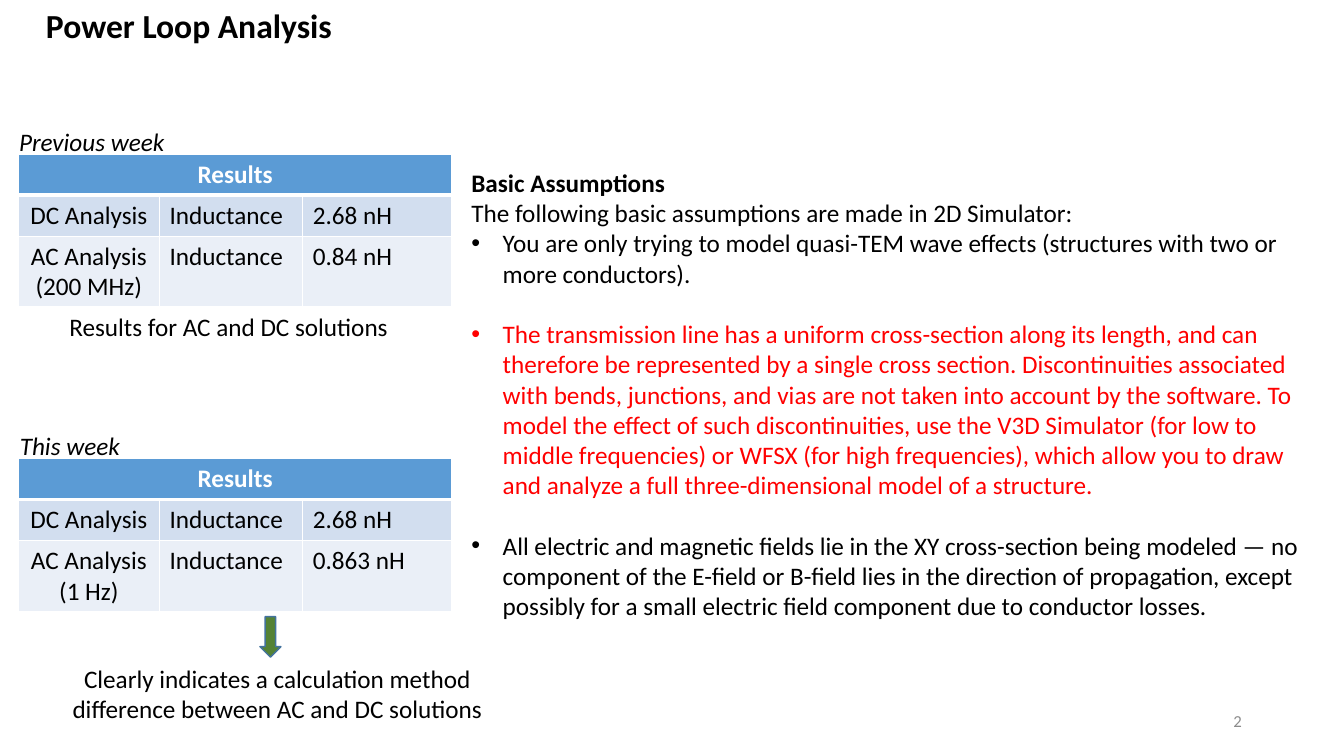
from lxml.etree import SubElement
from pptx import Presentation
from pptx.dml.color import RGBColor
from pptx.enum.shapes import MSO_SHAPE
from pptx.enum.text import MSO_ANCHOR, PP_ALIGN
from pptx.oxml.ns import qn
from pptx.util import Cm, Pt

FONT = "Calibri"
BLACK, WHITE, RED, GREY = "000000", "FFFFFF", "FF0000", "8C8C8C"
ROW_FILLS = ["5B9BD5", "D2DEEF", "EAEFF7"]
ARROW_FILL, ARROW_LINE = "548235", "43739E"
LEFT, CENTER, RIGHT = PP_ALIGN.LEFT, PP_ALIGN.CENTER, PP_ALIGN.RIGHT

# text, (left, top, width, height) in cm, alignment, run format
LABELS = [
    ("Power Loop Analysis", (0.91, 0, 15.42, 1.28), LEFT, {"size": 24, "bold": True}),
    ("Previous week", (0.23, 3.07, 9.65, 1.03), LEFT, {"italic": True}),
    ("This week", (0.25, 10.72, 9.65, 1.03), LEFT, {"italic": True}),
    ("Results for AC and DC solutions", (1.5, 7.72, 9.65, 1.03), LEFT, {}),
    ("Clearly indicates a calculation method difference between AC and DC solutions",
     (0.79, 16.59, 12.4, 1.8), CENTER, {}),
]
PAGE_NUMBER = ("2", (23.93, 17.65, 7.62, 1.02), RIGHT, {"size": 12, "color": GREY})

# table top in cm, rows
RESULTS = [
    (3.89, [["Results", "", ""],
            ["DC Analysis", "Inductance", "2.68 nH"],
            ["AC Analysis\n(200 MHz)", "Inductance", "0.84 nH"]]),
    (11.56, [["Results", "", ""],
             ["DC Analysis", "Inductance", "2.68 nH"],
             ["AC Analysis\n(1 Hz)", "Inductance", "0.863 nH"]]),
]
TABLE_LEFT = 0.46
COLUMN_WIDTHS = [3.56, 3.61, 3.76]
ROW_HEIGHTS = [1.03, 1.03, 1.78]

ASSUMPTIONS_BOX = (11.63, 4.09, 21.79, 11.79)
ASSUMPTIONS_HEADING = "Basic Assumptions"
ASSUMPTIONS_INTRO = "The following basic assumptions are made in 2D Simulator:"
ASSUMPTIONS = [
    ("You are only trying to model quasi-TEM wave effects (structures with two or "
     "more conductors).", BLACK),
    ("The transmission line has a uniform cross-section along its length, and can "
     "therefore be represented by a single cross section. Discontinuities associated "
     "with bends, junctions, and vias are not taken into account by the software. To "
     "model the effect of such discontinuities, use the V3D Simulator (for low to "
     "middle frequencies) or WFSX (for high frequencies), which allow you to draw "
     "and analyze a full three-dimensional model of a structure.", RED),
    ("All electric and magnetic fields lie in the XY cross-section being modeled — no "
     "component of the E-field or B-field lies in the direction of propagation, except "
     "possibly for a small electric field component due to conductor losses.", BLACK),
]
BULLET_INDENT = 0.79
BULLET_GAP = 21.6
ARROW = (6.55, 15.54, 0.53, 1.02)


def rgb(color):
    return RGBColor.from_string(color)


def lengths(values):
    return [Cm(value) for value in values]


def add_run(para, text, size=18, color=BLACK, bold=False, italic=False):
    span = para.add_run()
    span.text = text
    span.font.name, span.font.size = FONT, Pt(size)
    span.font.bold, span.font.italic = bold, italic
    span.font.color.rgb = rgb(color)


def add_box(slide, place):
    box = slide.shapes.add_textbox(*lengths(place))
    box.text_frame.word_wrap = True
    return box.text_frame


def add_label(slide, text, place, alignment, style):
    frame = add_box(slide, place)
    para = frame.paragraphs[0]
    para.alignment = alignment
    add_run(para, text, **style)
    return frame


def add_bullet(para):
    properties = para._p.get_or_add_pPr()
    properties.set("marL", str(Cm(BULLET_INDENT)))
    properties.set("indent", str(-Cm(BULLET_INDENT)))
    SubElement(properties, qn("a:buFont"), typeface="Arial")
    SubElement(properties, qn("a:buChar"), char="•")


def add_borders(cell, row):
    """White 1 pt borders, with a 3 pt line under the header row."""
    widths = {"lnL": 1, "lnR": 1, "lnT": 3 if row == 1 else 1, "lnB": 3 if row == 0 else 1}
    properties = cell._tc.get_or_add_tcPr()
    for side, width in widths.items():
        line = SubElement(properties, qn(f"a:{side}"), w=str(Pt(width)))
        fill = SubElement(line, qn("a:solidFill"))
        SubElement(fill, qn("a:srgbClr"), val=WHITE)


def add_results(slide, top, rows):
    place = (TABLE_LEFT, top, sum(COLUMN_WIDTHS), sum(ROW_HEIGHTS))
    table = slide.shapes.add_table(len(rows), len(COLUMN_WIDTHS), *lengths(place)).table
    for column, width in zip(table.columns, COLUMN_WIDTHS):
        column.width = Cm(width)
    for table_row, height in zip(table.rows, ROW_HEIGHTS):
        table_row.height = Cm(height)
    table.cell(0, 0).merge(table.cell(0, len(COLUMN_WIDTHS) - 1))
    for r, row in enumerate(rows):
        for c, text in enumerate(row):
            cell = table.cell(r, c)
            add_borders(cell, r)
            cell.fill.solid()
            cell.fill.fore_color.rgb = rgb(ROW_FILLS[r])
            if not text:
                continue
            frame = cell.text_frame
            for i, line in enumerate(text.split("\n")):
                para = frame.add_paragraph() if i else frame.paragraphs[0]
                para.alignment = LEFT if c else CENTER
                add_run(para, line, color=BLACK if r else WHITE, bold=r == 0)


def add_assumptions(slide):
    frame = add_box(slide, ASSUMPTIONS_BOX)
    add_run(frame.paragraphs[0], ASSUMPTIONS_HEADING, bold=True)
    add_run(frame.add_paragraph(), ASSUMPTIONS_INTRO)
    for i, (text, color) in enumerate(ASSUMPTIONS):
        para = frame.add_paragraph()
        para.space_before = Pt(BULLET_GAP if i else 0)
        add_bullet(para)
        add_run(para, text, color=color)


def add_arrow(slide):
    arrow = slide.shapes.add_shape(MSO_SHAPE.DOWN_ARROW, *lengths(ARROW))
    arrow.shadow.inherit = False
    arrow.fill.solid()
    arrow.fill.fore_color.rgb = rgb(ARROW_FILL)
    arrow.line.color.rgb = rgb(ARROW_LINE)
    arrow.line.width = Pt(1)


def main():
    deck = Presentation()
    deck.slide_width, deck.slide_height = Cm(33.87), Cm(19.05)
    slide = deck.slides.add_slide(deck.slide_layouts[6])
    for label in LABELS:
        add_label(slide, *label)
    for top, rows in RESULTS:
        add_results(slide, top, rows)
    add_assumptions(slide)
    add_arrow(slide)
    add_label(slide, *PAGE_NUMBER).vertical_anchor = MSO_ANCHOR.MIDDLE
    deck.save("out.pptx")


if __name__ == "__main__":
    main()
